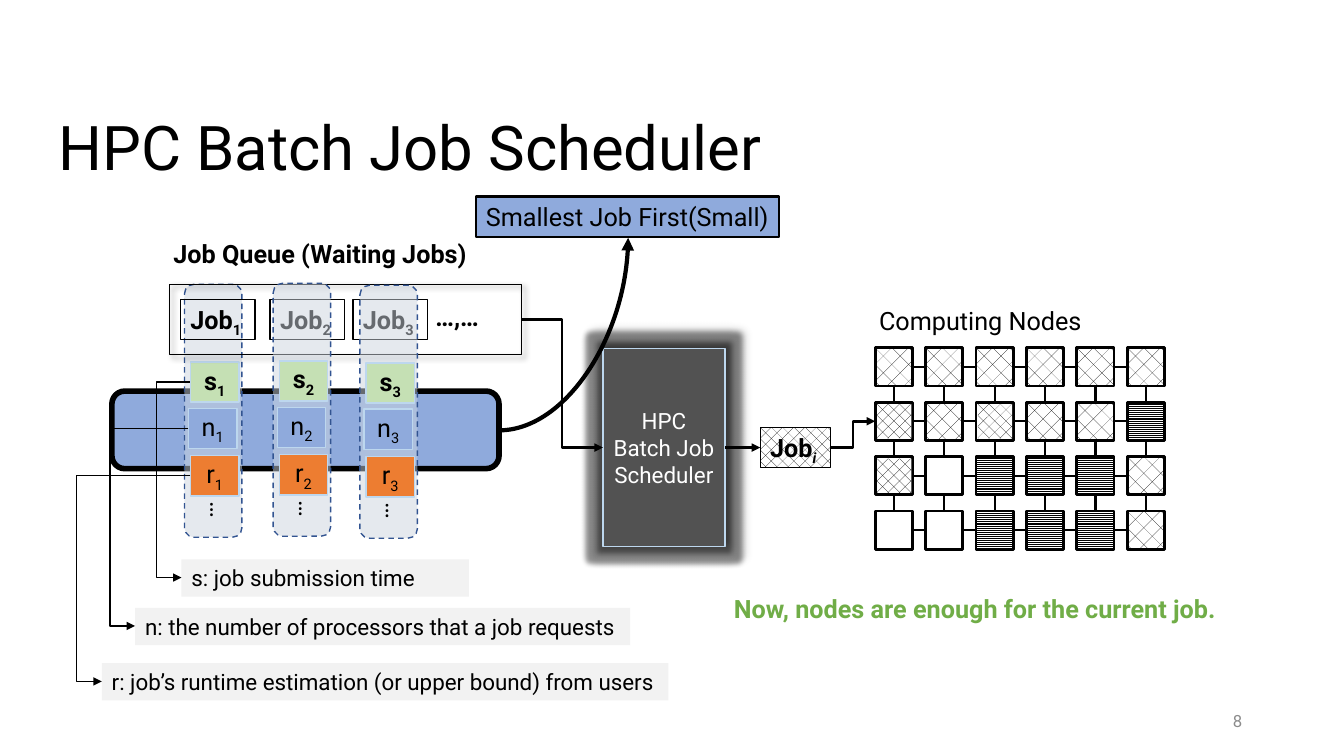
from dataclasses import dataclass, field
from typing import Any, Optional

import lxml.etree
import pptx
import pptx.dml.color
import pptx.enum.dml
import pptx.enum.shapes
import pptx.enum.text
import pptx.oxml.ns
import pptx.util

Inches = pptx.util.Inches
Pt = pptx.util.Pt
RGBColor = pptx.dml.color.RGBColor
Form = pptx.enum.shapes.MSO_SHAPE
Link = pptx.enum.shapes.MSO_CONNECTOR
Hatch = pptx.enum.dml.MSO_PATTERN
Align = pptx.enum.text.PP_ALIGN
Anchor = pptx.enum.text.MSO_ANCHOR
Fit = pptx.enum.text.MSO_AUTO_SIZE
qn = pptx.oxml.ns.qn

BLACK = RGBColor(0x00, 0x00, 0x00)
WHITE = RGBColor(0xFF, 0xFF, 0xFF)
BLUE = RGBColor(0x8F, 0xAA, 0xDC)
PALE = RGBColor(0xBD, 0xD7, 0xEE)
NAVY = RGBColor(0x32, 0x54, 0x91)
MIST = RGBColor(0xCC, 0xD4, 0xDE)
LIME = RGBColor(0xC5, 0xE0, 0xB4)
ORANGE = RGBColor(0xED, 0x7D, 0x31)
GREEN = RGBColor(0x70, 0xAD, 0x47)
DARK = RGBColor(0x52, 0x52, 0x52)
LIGHT = RGBColor(0xF2, 0xF2, 0xF2)
GREY = RGBColor(0x8C, 0x8C, 0x8C)


@dataclass
class Words:
    text: str  # the part after "_" is set as a subscript
    size: float = 18
    ink: RGBColor = BLACK
    bold: bool = False
    align: Any = Align.LEFT
    anchor: Any = Anchor.TOP
    wrap: bool = True
    grow: bool = False
    space: Optional[float] = None


@dataclass
class Box:
    at: tuple[float, float, float, float]
    fill: Any = None  # colour, pattern or nothing
    edge: Optional[RGBColor] = None
    width: float = 1
    words: Optional[Words] = None
    form: Any = Form.RECTANGLE
    alpha: Optional[int] = None
    dash: bool = False
    turn: float = 0
    shade: Optional[int] = None  # shadow angle
    glow: float = 0


@dataclass
class Wire:
    start: tuple[float, float]
    end: tuple[float, float]
    width: float = 1
    kind: Any = Link.STRAIGHT
    head: bool = True
    bend: Optional[float] = None  # x of the upright part


@dataclass
class Job:
    mark: str
    left: float
    top: float
    tag: float  # left edge of its box in the queue


def add(node: Any, tag: str, **values: Any) -> Any:
    return lxml.etree.SubElement(node, qn(tag), {k: str(v) for k, v in values.items()})


def tint(node: Any, ink: RGBColor, alpha: int) -> None:
    add(add(node, "a:srgbClr", val=ink), "a:alpha", val=alpha * 1000)


def write(frame: Any, words: Words) -> None:
    look = {"word_wrap": words.wrap, "vertical_anchor": words.anchor,
            "auto_size": Fit.SHAPE_TO_FIT_TEXT if words.grow else Fit.NONE}
    for name, value in look.items():
        setattr(frame, name, value)
    line = frame.paragraphs[0]
    line.alignment = words.align
    if words.space:
        line.line_spacing = words.space
    base, _, sub = words.text.partition("_")
    for text in filter(None, (base, sub)):
        run = line.add_run()
        run.text = text
        style = {"name": "Roboto", "size": Pt(words.size), "bold": words.bold,
                 "italic": text == "i"}
        for name, value in style.items():
            setattr(run.font, name, value)
        run.font.color.rgb = words.ink
        if text is sub:
            run.font._element.set("baseline", "-25000")


def draw(page: Any, box: Box) -> None:
    place = [Inches(v) for v in box.at]
    if box.fill is None and box.edge is None:
        shape = page.shapes.add_textbox(*place)
    else:
        shape = page.shapes.add_shape(box.form, *place)
        shape.shadow.inherit = False
        if box.fill is None:
            shape.fill.background()
        elif isinstance(box.fill, RGBColor):
            shape.fill.solid()
            shape.fill.fore_color.rgb = box.fill
        else:
            shape.fill.patterned()
            shape.fill.pattern = box.fill
            shape.fill.fore_color.rgb = BLACK
            shape.fill.back_color.rgb = WHITE
        if box.edge is None:
            shape.line.fill.background()
        else:
            shape.line.color.rgb = box.edge
            shape.line.width = Pt(box.width)
        if box.dash:
            shape.line.dash_style = pptx.enum.dml.MSO_LINE.DASH
        if box.alpha:
            ink = shape._element.spPr.find(qn("a:solidFill"))[0]
            add(ink, "a:alpha", val=box.alpha * 1000)
        effects = shape._element.spPr.find(qn("a:effectLst"))
        if box.glow:
            tint(add(effects, "a:glow", rad=Pt(box.glow)), BLACK, 40)
        if box.shade is not None:
            cast = add(effects, "a:outerShdw", blurRad=Pt(4), dist=Pt(3),
                       dir=box.shade * 60000, algn="tl", rotWithShape=0)
            tint(cast, BLACK, 40)
    shape.rotation = box.turn
    if box.words:
        write(shape.text_frame, box.words)


def join(page: Any, wire: Wire) -> None:
    ends = [Inches(v) for v in (*wire.start, *wire.end)]
    line = page.shapes.add_connector(wire.kind, *ends)
    line.line.color.rgb = BLACK
    line.line.width = Pt(wire.width)
    props = line._element.spPr
    shape = props.find(qn("a:prstGeom"))
    if wire.kind == Link.CURVE:
        shape.set("prst", "curvedConnector2")
    if wire.bend is not None:
        share = (wire.bend - wire.start[0]) / (wire.end[0] - wire.start[0])
        guides = shape.find(qn("a:avLst"))
        add(guides, "a:gd", name="adj1", fmla=f"val {round(share * 100000)}")
    if wire.head:
        add(props.find(qn("a:ln")), "a:tailEnd", type="triangle")
    add(props, "a:effectLst")


JOBS = [Job("1", 1.83, 2.82, 1.79), Job("2", 2.71, 2.81, 2.68), Job("3", 3.57, 2.83, 3.5)]
CELLS = [("s", 0.06, 0.77, LIME), ("n", 0.04, 1.23, BLUE), ("r", 0.06, 1.7, ORANGE)]
MID = {"align": Align.CENTER, "anchor": Anchor.MIDDLE}
SNUG = {"wrap": False, "grow": True}


def stack(page: Any, job: Job) -> None:
    draw(page, Box((job.left, job.top, 0.57, 2.51), MIST, NAVY, form=Form.ROUNDED_RECTANGLE,
                   alpha=50, dash=True))
    for name, right, down, fill in CELLS:
        words = Words(f"{name}_{job.mark}", bold=name == "s", **MID)
        draw(page, Box((job.left + right, job.top + down, 0.48, 0.4), fill, PALE, words=words))
    draw(page, Box((job.left + 0.13, job.top + 2.08, 0.45, 0.4), turn=90,
                   words=Words("…", **SNUG)))


# Node states: B brick, L lines, P dots set inside the frame, - free
GRID = ["BBBBBB", "PBPBBL", "P-LLLB", "--LLLB"]
FILLS = {"B": Hatch.DIAGONAL_BRICK, "L": Hatch.LIGHT_HORIZONTAL}
WIDE, HIGH, STEP, DROP = 0.37, 0.38, 0.5, 0.54


def mesh(page: Any, left: float, top: float) -> None:
    for row, states in enumerate(GRID):
        for col, state in enumerate(states):
            x, y = left + col * STEP, top + row * DROP
            draw(page, Box((x, y, WIDE, HIGH), FILLS.get(state), BLACK, 2))
            if state == "P":
                draw(page, Box((x + 0.02, y + 0.02, 0.34, 0.34), Hatch.PERCENT_25))
            across, down = x + WIDE / 2, y + HIGH / 2
            if col + 1 < len(states):
                join(page, Wire((x + WIDE, down), (x + STEP, down), 1.5, head=False))
            if row + 1 < len(GRID):
                join(page, Wire((across, y + HIGH), (across, y + DROP), 1.5, head=False))


def main() -> None:
    deck = pptx.Presentation()
    deck.slide_width, deck.slide_height = Inches(13.33), Inches(7.5)
    page = deck.slides.add_slide(deck.slide_layouts[6])

    # Band behind the n row, title, first job
    draw(page, Box((1.11, 3.88, 3.84, 0.77), BLUE, BLACK, 4, form=Form.ROUNDED_RECTANGLE))
    draw(page, Box((0.48, 0.77, 11.58, 1.45), words=Words(
        "HPC Batch Job Scheduler", 44, anchor=Anchor.MIDDLE, space=0.9)))
    stack(page, JOBS[0])

    # Queue, with the later jobs veiled
    draw(page, Box((1.68, 2.82, 3.49, 0.7), None, BLACK, shade=45))
    draw(page, Box((1.62, 2.32, 3.78, 0.4), words=Words("Job Queue (Waiting Jobs)", bold=True)))
    for job in JOBS:
        draw(page, Box((job.tag, 2.97, 0.74, 0.4), None, BLACK,
                       words=Words(f"Job_{job.mark}", bold=True, **SNUG)))
    draw(page, Box((4.22, 2.94, 0.77, 0.4), words=Words("…,…", bold=True, **SNUG)))
    for job in JOBS[1:]:
        stack(page, job)

    # Legend
    for text, left, top, width, start, bend in [
        ("s: job submission time", 1.8, 5.55, 2.85, (1.88, 3.79), 1.55),
        ("n: the number of processors that a job requests", 1.34, 6.03, 4.91, (1.87, 4.25), 1.09),
        ("r: job’s runtime estimation (or upper bound) from users", 1.01, 6.58, 5.62,
         (1.89, 4.72), 0.76),
    ]:
        draw(page, Box((left, top, width, 0.37), LIGHT, words=Words(text, 16, grow=True)))
        join(page, Wire(start, (left, top + 0.18), 1, Link.ELBOW, bend=bend))

    # Scheduler, chosen job and policy
    draw(page, Box((5.98, 3.46, 1.21, 1.96), DARK, PALE, shade=315, glow=8,
                   words=Words("HPC Batch Job Scheduler", 16, WHITE, **MID)))
    draw(page, Box((7.54, 4.24, 0.7, 0.4), Hatch.PERCENT_25, BLACK,
                   words=Words("Job_i", bold=True, grow=True)))
    draw(page, Box((4.72, 1.95, 3.01, 0.4), BLUE, BLACK, 1.5,
                   words=Words("Smallest Job First(Small)", **SNUG)))
    for wire in [Wire((5.17, 3.17), (5.98, 4.44), 2, Link.ELBOW),
                 Wire((7.19, 4.44), (7.54, 4.44), 2),
                 Wire((4.95, 4.27), (6.23, 2.36), 3, Link.CURVE)]:
        join(page, wire)

    # Computing nodes
    mesh(page, 8.68, 3.45)
    draw(page, Box((8.62, 2.98, 2.51, 0.4), words=Words("Computing Nodes")))
    draw(page, Box((7.18, 5.84, 5.35, 0.4), words=Words(
        "Now, nodes are enough for the current job.", ink=GREEN, bold=True, **SNUG)))
    join(page, Wire((8.24, 4.44), (8.68, 4.18), 2, Link.ELBOW))
    draw(page, Box((9.42, 6.95, 3, 0.4), words=Words(
        "8", 12, GREY, align=Align.RIGHT, anchor=Anchor.MIDDLE)))

    deck.save("out.pptx")


if __name__ == "__main__":
    main()
